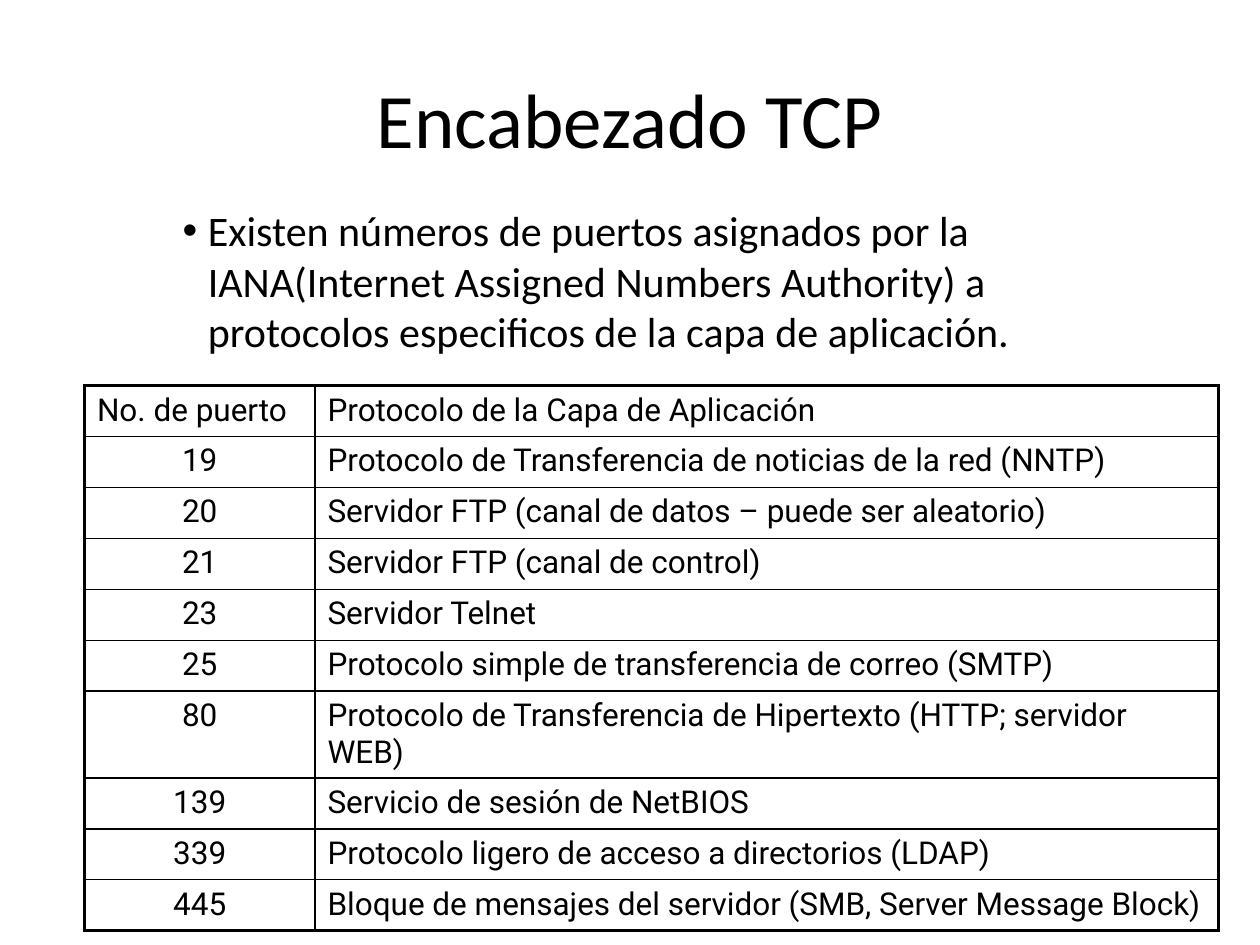
from lxml import etree
from pptx import Presentation
from pptx import util as u
from pptx.dml import color as col
from pptx.enum import text
from pptx.oxml import ns

INK = "000000"
WIDE, HIGH = u.Inches(10), u.Inches(7.5)
PORTS = [
    ("No. de puerto", "Protocolo de la Capa de Aplicación"),
    ("19", "Protocolo de Transferencia de noticias de la red (NNTP)"),
    ("20", "Servidor FTP (canal de datos – puede ser aleatorio)"),
    ("21", "Servidor FTP (canal de control)"),
    ("23", "Servidor Telnet"),
    ("25", "Protocolo simple de transferencia de correo (SMTP)"),
    ("80", "Protocolo de Transferencia de Hipertexto (HTTP; servidor WEB)"),
    ("139", "Servicio de sesión de NetBIOS"),
    ("339", "Protocolo ligero de acceso a directorios (LDAP)"),
    ("445", "Bloque de mensajes del servidor (SMB, Server Message Block)"),
]
TALL = 6


def area(left, top, wide, high):
    return [int(WIDE * left), int(HIGH * top), int(WIDE * wide), int(HIGH * high)]


def place(shape, box):
    shape.left, shape.top, shape.width, shape.height = box


def paint(target, shade):
    target.rgb = col.RGBColor.from_string(shade)


def style(par, size, face):
    for run in par.runs:
        run.font.size = u.Pt(size)
        run.font.name = face
        paint(run.font.color, INK)


def add(parent, tag, **attrs):
    return etree.SubElement(parent, ns.qn(tag), attrs)


def border(cell, side, width):
    line = add(cell._tc.get_or_add_tcPr(), "a:ln" + side, w=str(u.Pt(width)))
    add(add(line, "a:solidFill"), "a:srgbClr", val=INK)


def title(shape, box):
    place(shape, box)
    frame = shape.text_frame
    frame.text = "Encabezado TCP"
    frame.vertical_anchor = text.MSO_ANCHOR.MIDDLE
    par = frame.paragraphs[0]
    par.alignment = text.PP_ALIGN.CENTER
    style(par, 44, "Calibri")


def body(shape, box):
    place(shape, box)
    frame = shape.text_frame
    frame.text = (
        "Existen números de puertos asignados por la IANA(Internet Assigned "
        "Numbers Authority) a protocolos especificos de la capa de aplicación."
    )
    par = frame.paragraphs[0]
    par.level = 2
    par.space_before = u.Pt(0)
    props = par._p.get_or_add_pPr()
    props.set("marL", str(u.Inches(0.63)))
    props.set("indent", str(u.Inches(-0.2)))
    add(props, "a:buChar", char="•")
    style(par, 24, "Calibri")


def ports(slide, box):
    last = len(PORTS) - 1
    grid = slide.shapes.add_table(len(PORTS), 2, *box).table
    grid.first_row = grid.horz_banding = False
    grid.columns[0].width = int(box[2] * 0.2033)
    grid.columns[1].width = box[2] - grid.columns[0].width
    unit = box[3] / (last + 1.7)
    for row, pair in enumerate(PORTS):
        grid.rows[row].height = int(unit * (1.7 if row == TALL else 1))
        for side, words in enumerate(pair):
            cell = grid.cell(row, side)
            cell.text = words
            par = cell.text_frame.paragraphs[0]
            if row and side == 0:
                par.alignment = text.PP_ALIGN.CENTER
            style(par, 18, "Roboto")
            edges = {"L": side == 0, "R": side == 1, "T": row == 0, "B": row == last}
            for edge, outer in edges.items():
                border(cell, edge, 2.25 if outer else 1)
            cell.fill.background()


def main():
    deck = Presentation()
    deck.slide_width, deck.slide_height = WIDE, HIGH
    slide = deck.slides.add_slide(deck.slide_layouts[1])
    title(slide.shapes.title, area(0.05, 0.04, 0.9, 0.17))
    body(slide.placeholders[1], area(0.092, 0.21, 0.85, 0.6))
    ports(slide, area(0.067, 0.408, 0.9, 0.577))
    deck.save("out.pptx")


if __name__ == "__main__":
    main()
